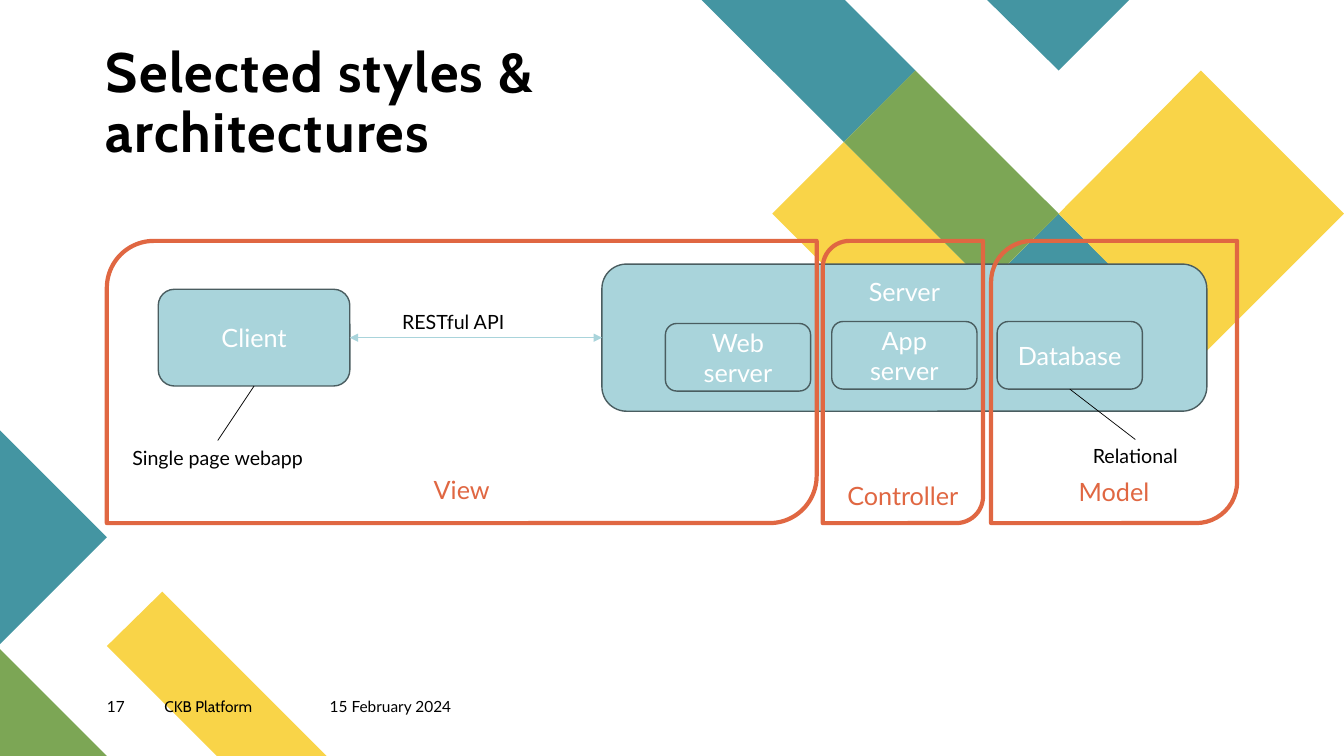
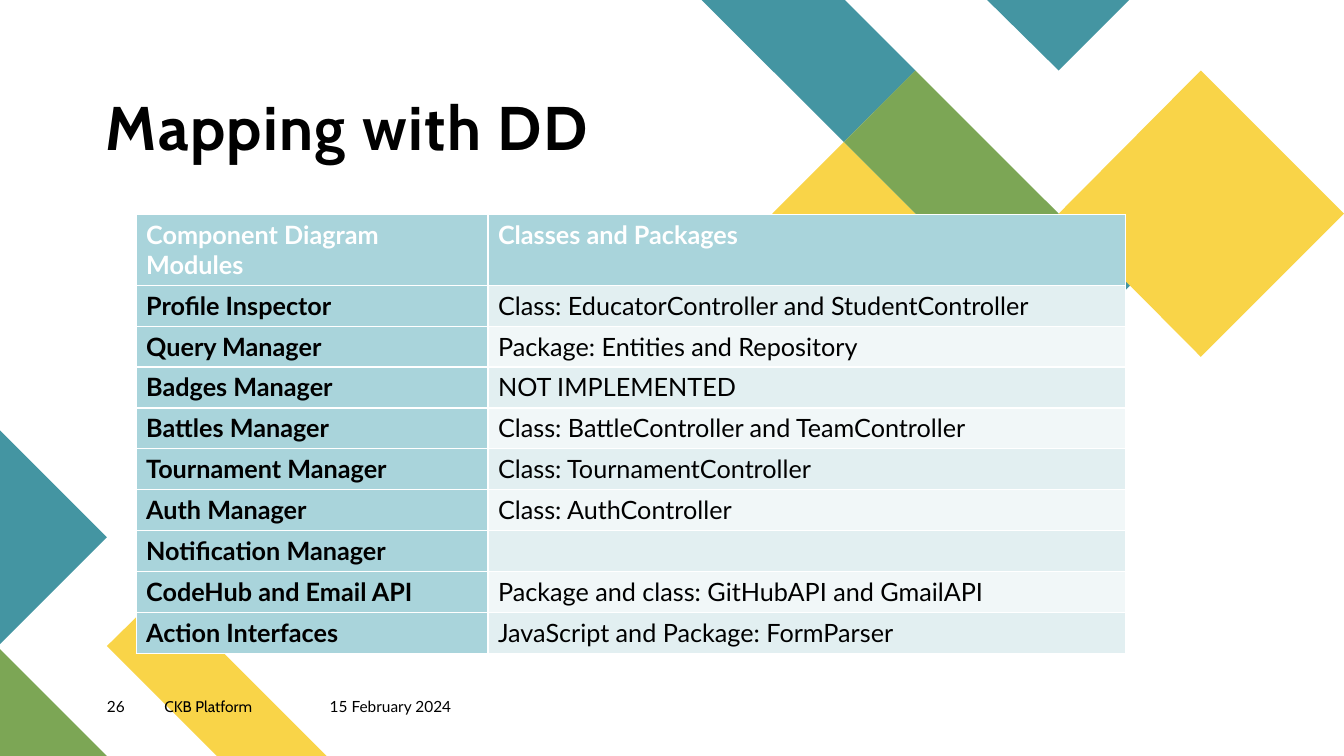
from lxml import etree
from pptx import Presentation
from pptx import util as u
from pptx.dml import color
from pptx.enum import shapes, text
from pptx.oxml import ns

rgb = color.RGBColor.from_string
BLACK, WHITE = "000000", "FFFFFF"
TEAL, GREEN, YELLOW = "4495A2", "7CA655", "F9D448"
SKY, SLATE, ORANGE = "A9D4DB", "4A5D60", "E06742"
BANDS = ["E2EFF1", "F1F7F8"]
LEFT, CENTER = text.PP_ALIGN.LEFT, text.PP_ALIGN.CENTER
TOP, MIDDLE, BOTTOM = text.MSO_ANCHOR.TOP, text.MSO_ANCHOR.MIDDLE, text.MSO_ANCHOR.BOTTOM


def write(frame, words, size, ink=BLACK, font="Lato", bold=False, align=LEFT):
    """Write each line of words as a paragraph and return the last span."""
    for number, line in enumerate(words.split("\n")):
        para = frame.add_paragraph() if number else frame.paragraphs[0]
        para.alignment = align
        span = para.add_run()
        span.text = line
        span.font.name, span.font.size, span.font.bold = font, u.Pt(size), bold
        span.font.color.rgb = rgb(ink)
    return span


def add_box(page, kind, place, words, anchor, fill, edge, width, ink):
    box = page.shapes.add_shape(kind, *map(u.Inches, place))
    box.shadow.inherit = False
    if fill:
        box.fill.solid()
        box.fill.fore_color.rgb = rgb(fill)
    else:
        box.fill.background()
    box.line.color.rgb = rgb(edge)
    box.line.width = u.Pt(width)
    box.text_frame.word_wrap = True
    box.text_frame.vertical_anchor = anchor
    write(box.text_frame, words, 18, ink, align=CENTER)
    return box


deck = Presentation()
deck.slide_width, deck.slide_height = u.Inches(13.33), u.Inches(7.5)

# Shared layout: title place
layout = deck.slide_layouts[5]
for holder in list(layout.placeholders):
    if holder.placeholder_format.idx:
        holder.element.getparent().remove(holder.element)
        continue
    holder.left, holder.top, holder.width, holder.height = map(u.Inches, (1.05, 0.96, 5.4, 0.67))
    frame = holder.text_frame
    frame.vertical_anchor = BOTTOM
    frame.word_wrap = True
    frame.auto_size = text.MSO_AUTO_SIZE.NONE
    frame.margin_left = frame.margin_right = frame.margin_top = frame.margin_bottom = 0

# Pages with titles and footers
pages = []
for title, size, number in [("Selected styles & architectures", 39.6, "17"),
                            ("Mapping with DD", 44, "26")]:
    page = deck.slides.add_slide(layout)
    pages.append(page)
    frame = page.shapes.title.text_frame
    span = write(frame, title, size, font="Cabin", bold=True)
    span.font._element.set("spc", "100")
    frame.paragraphs[0].line_spacing = 0.9
    for left, width, words, font in [(1.06, 0.57, number, "Lato"),
                                     (1.63, 1.64, "CKB Platform", "Cabin"),
                                     (3.27, 1.44, "15 February 2024", "Lato")]:
        box = page.shapes.add_textbox(*map(u.Inches, (left, 6.92, width, 0.27)))
        frame = box.text_frame
        frame.word_wrap = True
        frame.margin_left = frame.margin_right = frame.margin_top = frame.margin_bottom = 0
        write(frame, words, 11, font=font)
diagram, mapping = pages

# Shared layout: diagonal pattern, drawn once and moved behind the title
pattern = [
    (YELLOW, [(3.24, 7.5), (2.15, 7.5), (1.06, 6.41), (1.61, 5.87)]),
    (GREEN, [(1.06, 7.5), (0, 7.5), (0, 6.44)]),
    (TEAL, [(0, 4.27), (1.06, 5.33), (0, 6.39)]),
    (TEAL, [(9.08, 0.7), (8.38, 0), (6.96, 0), (8.37, 1.41)]),
    (TEAL, [(11.21, 2.83), (10.5, 2.12), (9.79, 2.83), (10.5, 3.54)]),
    (YELLOW, [(8.37, 1.41), (7.66, 2.12), (9.08, 3.54), (9.79, 2.83)]),
    (TEAL, [(11.2, 0), (9.79, 0), (10.5, 0.7)]),
    (GREEN, [(9.08, 0.7), (8.37, 1.41), (9.79, 2.83), (10.5, 2.12)]),
    (YELLOW, [(13.33, 2.12), (11.91, 0.7), (10.5, 2.12), (11.91, 3.54)]),
]
tiles = []
for fill, corners in pattern:
    points = [(u.Inches(x), u.Inches(y)) for x, y in corners]
    builder = diagram.shapes.build_freeform(*points[0])
    builder.add_line_segments(points[1:], close=True)
    tile = builder.convert_to_shape()
    tile.shadow.inherit = False
    tile.fill.solid()
    tile.fill.fore_color.rgb = rgb(fill)
    tile.line.fill.background()
    tiles.append(tile.element)
for position, tile in enumerate(tiles, start=2):
    layout.shapes.element.insert(position, tile)

# Architecture: client and server parts
parts = {}
for name, place, anchor in [("Client", (1.57, 2.87, 1.9, 0.96), MIDDLE),
                            ("Server", (5.97, 2.62, 6, 1.46), TOP),
                            ("Database", (9.89, 3.19, 1.44, 0.67), MIDDLE),
                            ("App\nserver", (8.25, 3.19, 1.44, 0.67), MIDDLE),
                            ("Web server", (6.6, 3.21, 1.44, 0.67), MIDDLE)]:
    parts[name] = add_box(diagram, shapes.MSO_SHAPE.ROUNDED_RECTANGLE, place, name,
                          anchor, SKY, SLATE, 1, WHITE)

# Architecture: labels
for name, left, top, width, align in [("RESTful API", 3.89, 3.03, 1.44, LEFT),
                                      ("Relational", 10.54, 4.36, 1.44, CENTER),
                                      ("Single page webapp", 1.16, 4.37, 2, CENTER)]:
    label = diagram.shapes.add_textbox(*map(u.Inches, (left, top, width, 0.34)))
    label.text_frame.word_wrap = True
    write(label.text_frame, name, 14, align=align)
    parts[name] = label

# Architecture: links
for start, start_side, end, end_side, ink, arrows in [
        ("Client", 3, "Server", 1, SKY, True),
        ("Client", 2, "Single page webapp", 0, BLACK, False),
        ("Database", 2, "Relational", 0, BLACK, False)]:
    link = diagram.shapes.add_connector(shapes.MSO_CONNECTOR.STRAIGHT, 0, 0, 0, 0)
    link.begin_connect(parts[start], start_side)
    link.end_connect(parts[end], end_side)
    link.line.color.rgb = rgb(ink)
    link.line.width = u.Pt(0.5)
    if arrows:
        for tip in ("a:headEnd", "a:tailEnd"):
            etree.SubElement(link.line._get_or_add_ln(), ns.qn(tip), type="triangle")
    etree.SubElement(link.element.spPr, ns.qn("a:effectLst"))

# Architecture: model, view and controller frames
for name, left, width in [("View", 1.06, 7.04), ("Controller", 8.16, 1.59), ("Model", 9.83, 2.44)]:
    add_box(diagram, shapes.MSO_SHAPE.ROUND_2_DIAG_RECTANGLE, (left, 2.39, width, 2.8), name,
            BOTTOM, None, ORANGE, 3, ORANGE)

# Mapping table
rows = [
    ("Component Diagram Modules", "Classes and Packages"),
    ("Profile Inspector", "Class: EducatorController and StudentController"),
    ("Query Manager", "Package: Entities and Repository"),
    ("Badges Manager", "NOT IMPLEMENTED"),
    ("Battles Manager", "Class: BattleController and TeamController"),
    ("Tournament Manager", "Class: TournamentController"),
    ("Auth Manager", "Class: AuthController"),
    ("Notification Manager", ""),
    ("CodeHub and Email API", "Package and class: GitHubAPI and GmailAPI"),
    ("Action Interfaces", "JavaScript and Package: FormParser"),
]
table = mapping.shapes.add_table(len(rows), 2, *map(u.Inches, (1.35, 2.13, 9.81, 4.35))).table
table.columns[0].width, table.columns[1].width = u.Inches(3.49), u.Inches(6.32)
for r, row in enumerate(rows):
    table.rows[r].height = u.Inches(3.65) // 9 if r else u.Inches(0.7)
    for c, words in enumerate(row):
        cell = table.cell(r, c)
        cell.fill.solid()
        cell.fill.fore_color.rgb = rgb(BANDS[(r - 1) % 2] if r and c else SKY)
        if words:
            write(cell.text_frame, words, 18, BLACK if r else WHITE, bold=not (r and c))

deck.save("out.pptx")
